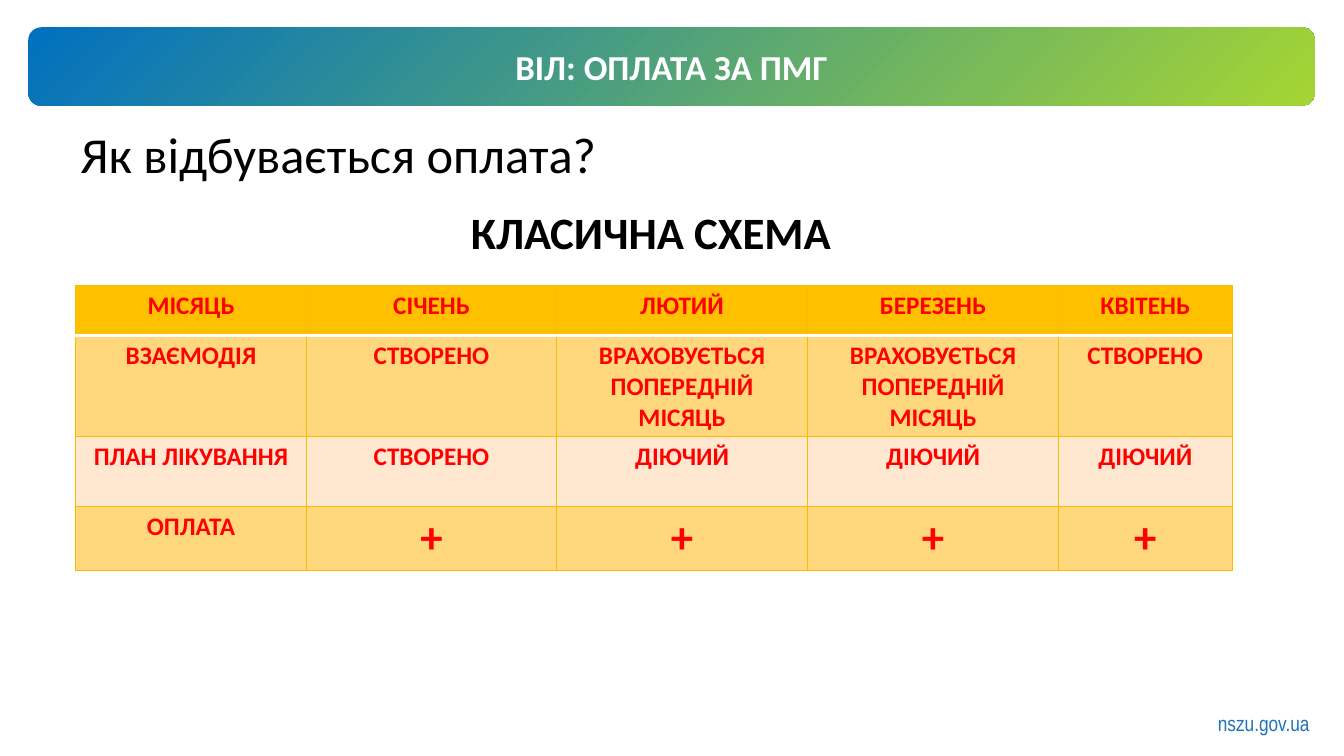
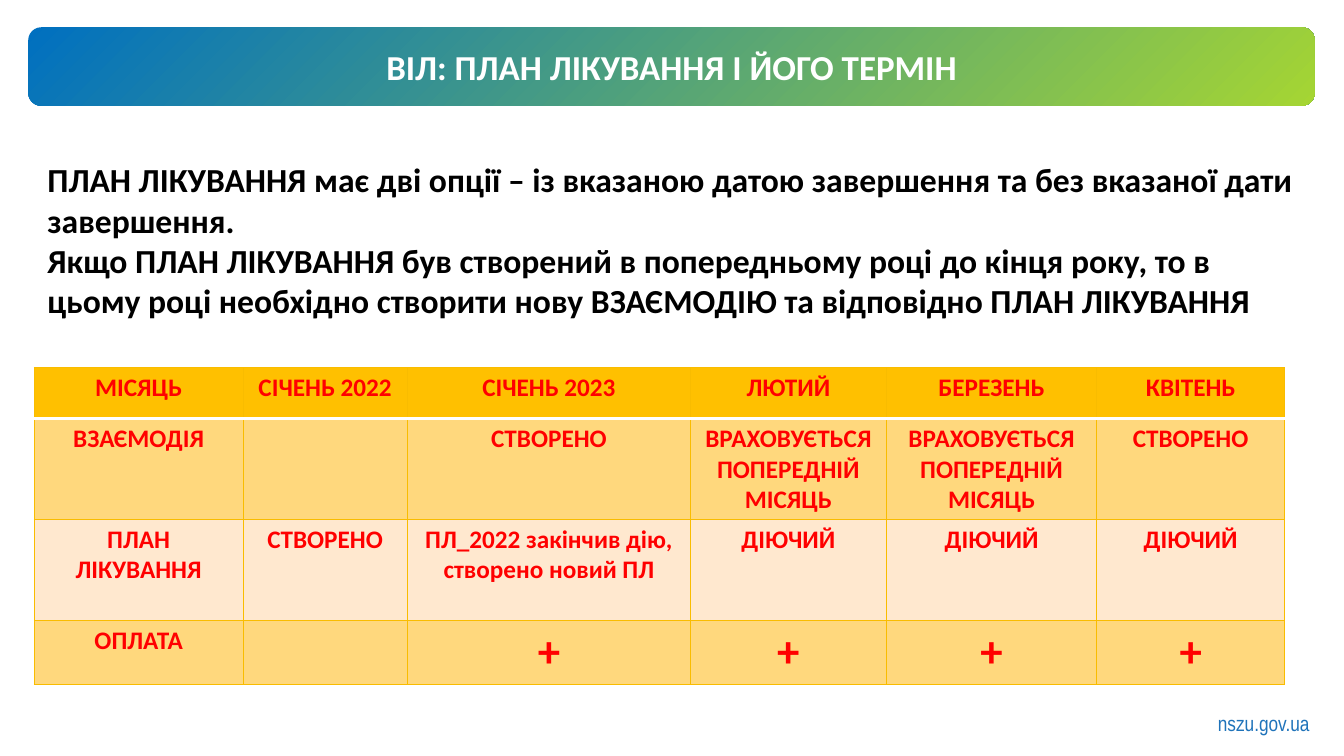
from dataclasses import dataclass

import pptx
import pptx.dml.color
import pptx.enum.shapes
import pptx.enum.text
import pptx.oxml
import pptx.oxml.ns
import pptx.util

Inches = pptx.util.Inches
Pt = pptx.util.Pt
ALIGN = pptx.enum.text.PP_ALIGN
ANCHOR = pptx.enum.text.MSO_ANCHOR
NS = pptx.oxml.ns.nsdecls("a")


@dataclass(frozen=True)
class Theme:
    font: str = "Calibri"
    footer_font: str = "Arial Narrow"
    black: str = "000000"
    white: str = "FFFFFF"
    red: str = "FF0000"
    blue: str = "0070C0"
    green: str = "A5D533"
    footer: str = "1F73BA"
    header: str = "FFC000"
    band_dark: str = "FFD87D"
    band_light: str = "FFE8CF"
    border: str = "F9BC00"
    title_size: int = 25
    footer_size: int = 15
    question_size: int = 36
    heading_size: int = 32
    body_size: int = 24
    cell_size: int = 18
    mark_size: int = 32


def rgb(color):
    return pptx.dml.color.RGBColor.from_string(color)


def write(tf, text, size, color, font, bold=False, align=ALIGN.LEFT):
    for i, line in enumerate(text.split("\n")):
        p = tf.paragraphs[0] if i == 0 else tf.add_paragraph()
        p.alignment = align
        r = p.add_run()
        r.text = line
        r.font.name = font
        r.font.size = Pt(size)
        r.font.bold = bold
        r.font.color.rgb = rgb(color)


def set_borders(cell, **sides):
    tcPr = cell._tc.get_or_add_tcPr()
    for i, side in enumerate("LRTB"):
        color, width = sides[side]
        tcPr.insert(i, pptx.oxml.parse_xml(
            f'<a:ln{side} {NS} w="{Pt(width)}"><a:solidFill>'
            f'<a:srgbClr val="{color}"/></a:solidFill></a:ln{side}>'))


class Deck:
    def __init__(self, theme):
        self.theme = theme
        self.prs = pptx.Presentation()
        self.prs.slide_width = Inches(13.33)
        self.prs.slide_height = Inches(7.5)
        self.s = None

    def slide(self, title):
        t = self.theme
        self.s = self.prs.slides.add_slide(self.prs.slide_layouts[6])
        self.band(0.28, 0.27, 12.76, 0.78)
        self.text(title, 0.56, 0.4, 12.2, 0.52, size=t.title_size,
                  color=t.white, bold=True, align=ALIGN.CENTER)
        self.text("nszu.gov.ua", 12.03, 7, 1.04, 0.34, size=t.footer_size,
                  color=t.footer, font=t.footer_font, anchor=ANCHOR.MIDDLE)

    def band(self, x, y, w, h):
        sp = self.s.shapes.add_shape(
            pptx.enum.shapes.MSO_SHAPE.ROUNDED_RECTANGLE,
            Inches(x), Inches(y), Inches(w), Inches(h))
        sp.shadow.inherit = False
        sp.line.fill.background()
        sp.fill.gradient()
        for stop, color in zip(sp.fill.gradient_stops,
                               (self.theme.green, self.theme.blue)):
            stop.color.rgb = rgb(color)
        lin = sp._element.spPr.find(".//" + pptx.oxml.ns.qn("a:lin"))
        lin.getparent().replace(lin, pptx.oxml.parse_xml(
            f'<a:path {NS} path="circle">'
            '<a:fillToRect l="100000" t="100000"/></a:path>'))

    def text(self, text, x, y, w, h, size, color=None, font=None, bold=False,
             align=ALIGN.LEFT, anchor=ANCHOR.TOP, wrap=True):
        tf = self.s.shapes.add_textbox(
            Inches(x), Inches(y), Inches(w), Inches(h)).text_frame
        tf.word_wrap = wrap
        tf.vertical_anchor = anchor
        tf.margin_left = tf.margin_right = Inches(0.05)
        tf.margin_top = tf.margin_bottom = Inches(0.05)
        write(tf, text, size, color or self.theme.black,
              font or self.theme.font, bold, align)

    def table(self, x, y, widths, heights, rows):
        t = self.theme
        table = self.s.shapes.add_table(
            len(rows), len(widths), Inches(x), Inches(y),
            Inches(sum(widths)), Inches(sum(heights))).table
        for column, width in zip(table.columns, widths):
            column.width = Inches(width)
        for row, height in zip(table.rows, heights):
            row.height = Inches(height)
        thin, rule = (t.border, 0.75), (t.white, 2)
        fills = (t.header, t.band_dark, t.band_light, t.band_dark)
        for i, (values, fill) in enumerate(zip(rows, fills)):
            for j, value in enumerate(values):
                cell = table.cell(i, j)
                cell.fill.solid()
                cell.fill.fore_color.rgb = rgb(fill)
                set_borders(cell, L=thin, R=thin, T=rule if i == 1 else thin,
                            B=rule if i == 0 else thin)
                if value:
                    size = t.mark_size if value == "+" else t.cell_size
                    write(cell.text_frame, value, size, t.red, t.font,
                          bold=True, align=ALIGN.CENTER)


def main():
    theme = Theme()
    deck = Deck(theme)
    months = ["ЛЮТИЙ", "БЕРЕЗЕНЬ", "КВІТЕНЬ"]
    interactions = ["ВРАХОВУЄТЬСЯ ПОПЕРЕДНІЙ МІСЯЦЬ"] * 2 + ["СТВОРЕНО"]
    plans = ["ДІЮЧИЙ"] * 3
    payments = ["+"] * 3

    deck.slide("ВІЛ: ОПЛАТА ЗА ПМГ")
    deck.text("Як відбувається оплата?", 0.75, 1.17, 5.28, 0.71,
              size=theme.question_size, wrap=False)
    deck.table(0.75, 2.83, [2.29, 2.48, 2.49, 2.49, 1.72],
               [0.5, 1, 0.69, 0.64], [
        ["МІСЯЦЬ", "СІЧЕНЬ", *months],
        ["ВЗАЄМОДІЯ", "СТВОРЕНО", *interactions],
        ["ПЛАН ЛІКУВАННЯ", "СТВОРЕНО", *plans],
        ["ОПЛАТА", "+", *payments],
    ])
    deck.text("КЛАСИЧНА СХЕМА", 4.62, 1.98, 3.72, 0.64,
              size=theme.heading_size, bold=True, wrap=False)

    deck.slide("ВІЛ: ПЛАН ЛІКУВАННЯ І ЙОГО ТЕРМІН")
    deck.table(0.34, 3.65, [2.07, 1.63, 2.81, 1.94, 2.09, 1.86],
               [0.5, 1, 1, 0.64], [
        ["МІСЯЦЬ", "СІЧЕНЬ 2022", "СІЧЕНЬ 2023", *months],
        ["ВЗАЄМОДІЯ", "", "СТВОРЕНО", *interactions],
        ["ПЛАН ЛІКУВАННЯ", "СТВОРЕНО",
         "ПЛ_2022 закінчив дію,\nстворено новий ПЛ", *plans],
        ["ОПЛАТА", "", "+", *payments],
    ])
    deck.text("ПЛАН ЛІКУВАННЯ має дві опції – із вказаною датою завершення "
              "та без вказаної дати завершення.\n"
              "Якщо ПЛАН ЛІКУВАННЯ був створений в попередньому році до кінця "
              "року, то в цьому році необхідно створити нову ВЗАЄМОДІЮ та "
              "відповідно ПЛАН ЛІКУВАННЯ",
              0.42, 1.53, 12.63, 1.72, size=theme.body_size, bold=True)

    deck.prs.save("out.pptx")


if __name__ == "__main__":
    main()
